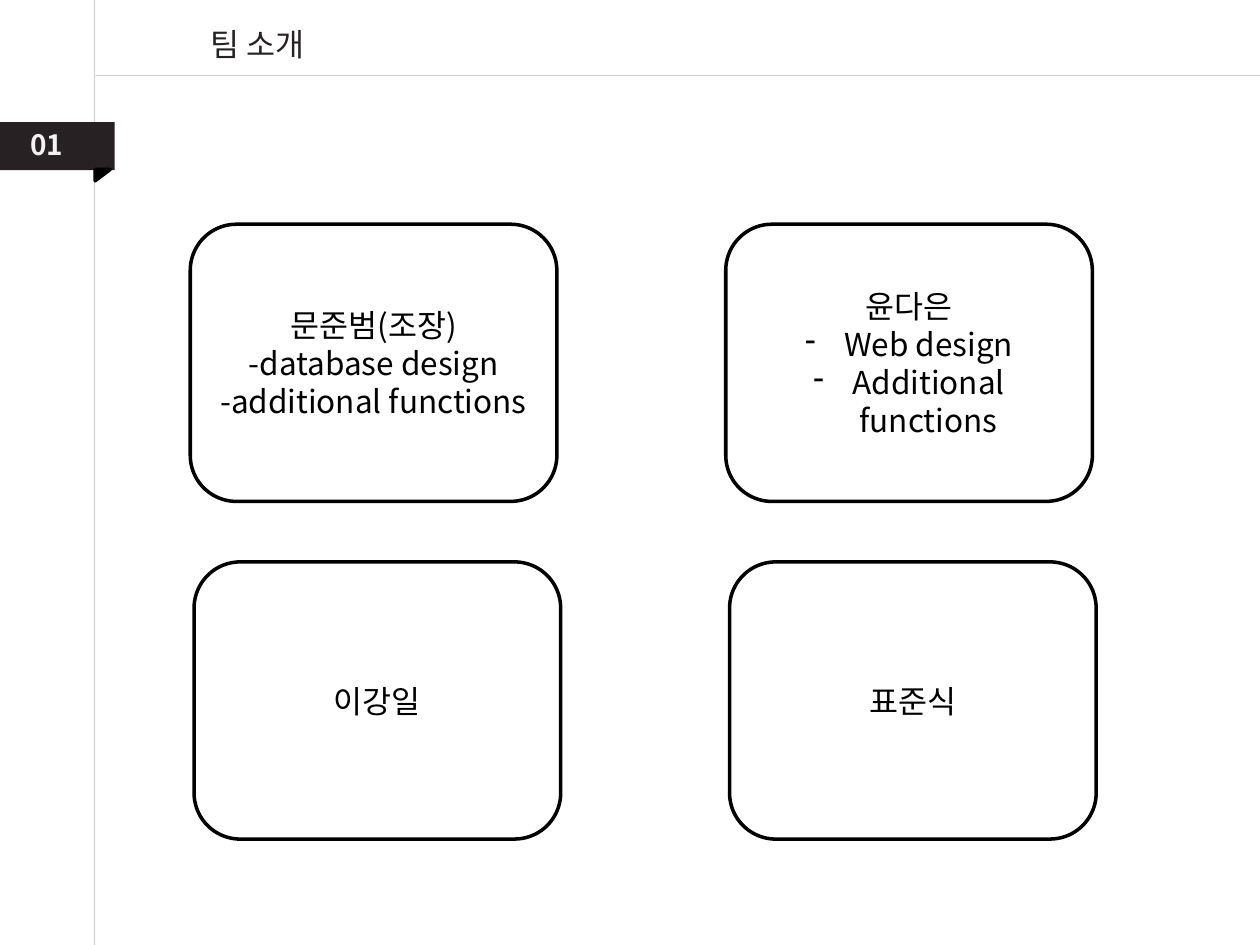
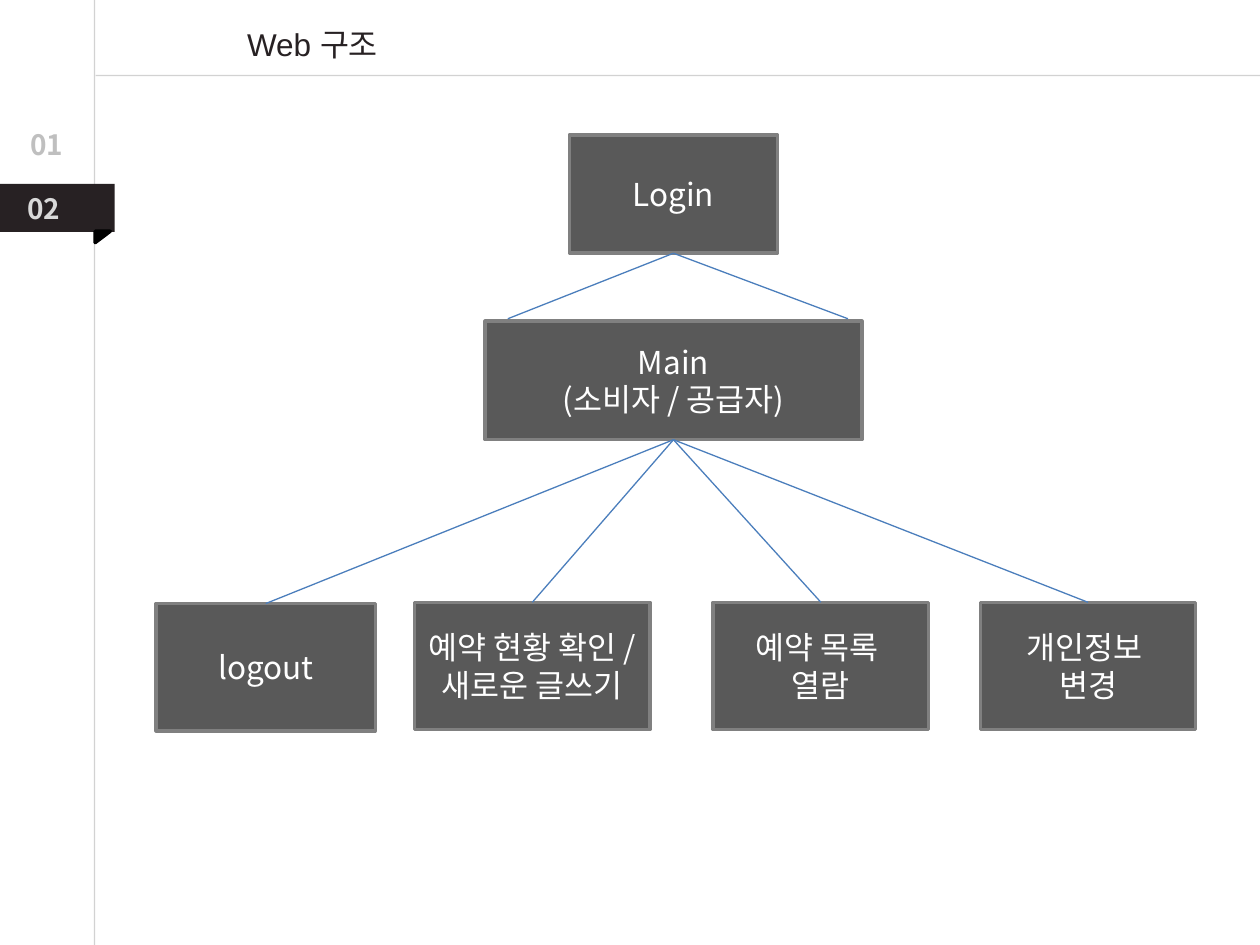
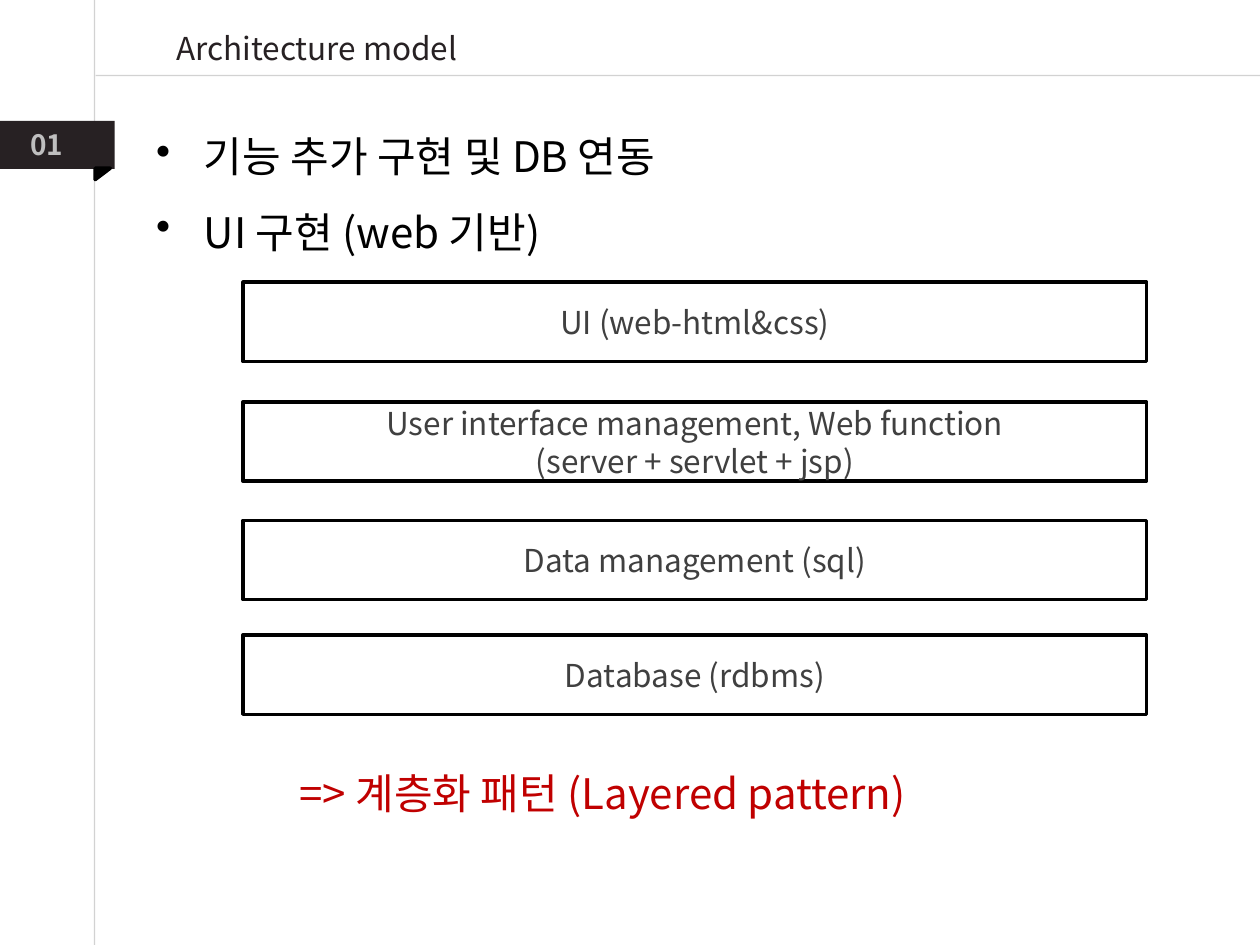
from lxml import etree
from pptx import Presentation, util as u
from pptx.dml.color import RGBColor
from pptx.enum import shapes, text
from pptx.oxml.ns import qn

FACE = "Noto Sans CJK KR"
DARK, BLACK, WHITE = "272123", "000000", "FFFFFF"
RULE, LINK = "A6A6A6", "4B7EBC"
BOX, EDGE, GRAY, RED = "595959", "808080", "404040", "C00000"
FORM = shapes.MSO_SHAPE
MID = text.PP_ALIGN.CENTER


def hue(code):
    return RGBColor.from_string(code)


def child(node, tag, **attrs):
    return etree.SubElement(node, qn(tag), attrs)


def write(frame, lines, size, color, align=None, face=FACE, bold=False,
          mark=None, dent=0.31, lead=None):
    """Write one paragraph per line; mark maps line numbers to bullets."""
    frame.word_wrap = True
    for i, line in enumerate(lines):
        para = frame.paragraphs[0] if i == 0 else frame.add_paragraph()
        para.alignment = align
        para.line_spacing = lead
        if mark and i in mark:
            props = para._p.get_or_add_pPr()
            props.set("marL", str(u.Inches(dent)))
            props.set("indent", str(-u.Inches(dent)))
            child(props, "a:buChar", char=mark[i])
        run = para.add_run()
        run.text = line
        font = run.font
        font.size, font.bold, font.name = u.Pt(size), bold, face
        font.color.rgb = hue(color)
        child(run._r.get_or_add_rPr(), "a:ea", typeface=FACE)


def label(slide, box, lines, size, color, **style):
    area = slide.shapes.add_textbox(*map(u.Inches, box))
    write(area.text_frame, lines, size, color, **style)


def block(slide, form, box, fill=None, edge=None, lines=(), color=BLACK,
          mark=None):
    """Draw a preset shape with centred text."""
    part = slide.shapes.add_shape(form, *map(u.Inches, box))
    part.shadow.inherit = False
    if fill:
        part.fill.solid()
        part.fill.fore_color.rgb = hue(fill)
    else:
        part.fill.background()
    if edge:
        part.line.color.rgb = hue(edge)
        part.line.width = u.Pt(2)
    else:
        part.line.fill.background()
    part.text_frame.vertical_anchor = text.MSO_ANCHOR.MIDDLE
    write(part.text_frame, lines, 18, color, align=MID, mark=mark)
    return part


def link(slide, start, end, color=LINK, alpha=None):
    line = slide.shapes.add_connector(
        shapes.MSO_CONNECTOR.STRAIGHT, *map(u.Inches, (*start, *end)))
    line.line.color.rgb = hue(color)
    line.line.width = u.Pt(0.75)
    props = line._element.spPr
    if alpha:
        tone = props.find(".//" + qn("a:srgbClr"))
        child(tone, "a:alpha", val=str(alpha * 1000))
    child(props, "a:effectLst")
    return line


def join(slide, top, low):
    line = link(slide, (0, 0), (1, 1))
    line.begin_connect(top, 2)
    line.end_connect(low, 0)


# Shared frame: rules, title, chapter tag
def base(deck, title, x, y, width, face=FACE):
    slide = deck.slides.add_slide(deck.slide_layouts[6])
    link(slide, (0.75, 0), (0.75, 7.5), RULE, 50)
    link(slide, (0.76, 0.6), (10, 0.6), RULE, 50)
    label(slide, (x, y, width, 0.4), [title], 18, DARK, align=MID, face=face)
    return slide


def count(slide, num, x, y, color):
    label(slide, (x, y, 0.59, 0.37), [num], 16, color, bold=True)


def tag(slide, y):
    block(slide, FORM.RECTANGLE, (0, y, 0.91, 0.38), DARK)
    fold = block(slide, FORM.RIGHT_TRIANGLE, (0.77, y + 0.36, 0.09, 0.12),
                 BLACK, BLACK)
    fold.rotation = 90


# Team cards, two by two
def team(slide, x, y):
    cards = [
        (["문준범(조장)", "-database design", "-additional functions"], None),
        (["윤다은", "Web design", "Additional functions"], {1: "-", 2: "-"}),
        (["이강일"], None),
        (["표준식"], None),
    ]
    for i, (lines, mark) in enumerate(cards):
        row, col = divmod(i, 2)
        spot = (x + 4.25 * col + 0.03 * row, y + 2.68 * row, 2.91, 2.2)
        block(slide, FORM.ROUNDED_RECTANGLE, spot, None, BLACK, lines,
              mark=mark)


# Page tree
def tree(slide, x, y):
    def node(dx, dy, width, height, *lines):
        return block(slide, FORM.RECTANGLE, (x + dx, y + dy, width, height),
                     BOX, EDGE, lines, WHITE)

    login = node(3.28, 0, 1.65, 0.94, "Login")
    main = node(2.61, 1.48, 2.99, 0.94, "Main", "(소비자 / 공급자)")
    leaves = [
        node(0, 3.72, 1.74, 1.01, "logout"),
        node(2.05, 3.71, 1.87, 1.01, "예약 현황 확인 / 새로운 글쓰기"),
        node(4.42, 3.71, 1.71, 1.01, "예약 목록 ", "열람"),
        node(6.54, 3.71, 1.71, 1.01, "개인정보 ", "변경"),
    ]
    for dx in (2.79, 5.49):
        line = link(slide, (x, y), (x + dx, y + 1.46))
        line.begin_connect(login, 2)
    for leaf in leaves:
        join(slide, main, leaf)


# Layer stack with goals above and the pattern name below
def stack(slide, x, y):
    goals = ["기능 추가 구현 및 DB 연동", "UI 구현 (web 기반)"]
    label(slide, (x, y, 7.95, 1.4), goals, 24, BLACK,
          mark={0: "•", 1: "•"}, dent=0.38, lead=1.5)
    layers = [
        (1.45, ["UI (web-html&css)"]),
        (2.4, ["User interface management, Web function",
               "(server + servlet + jsp)"]),
        (3.34, ["Data management (sql)"]),
        (4.25, ["Database (rdbms)"]),
    ]
    for dy, lines in layers:
        block(slide, FORM.RECTANGLE, (x + 0.79, y + dy, 7.17, 0.63),
              None, BLACK, lines, GRAY)
    label(slide, (x + 1.14, y + 5.05, 6, 0.7),
          ["=> 계층화 패턴 (Layered pattern)"], 24, RED, lead=1.5)


def main():
    deck = Presentation()
    deck.slide_width, deck.slide_height = u.Inches(10), u.Inches(7.5)

    slide = base(deck, "팀 소개", 1.14, 0.15, 1.81)
    tag(slide, 0.97)
    count(slide, "01", 0.14, 0.96, "F2F2F2")
    team(slide, 1.51, 1.78)

    slide = base(deck, "Web 구조", 1.14, 0.15, 2.68, "Arial")
    tag(slide, 1.46)
    count(slide, "02", 0.12, 1.47, "D9D9D9")
    count(slide, "01", 0.14, 0.96, "BFBFBF")
    tree(slide, 1.24, 1.07)

    slide = base(deck, "Architecture model", 0.94, 0.18, 3.15)
    tag(slide, 0.96)
    count(slide, "01", 0.14, 0.96, "BFBFBF")
    stack(slide, 1.14, 0.79)

    deck.save("out.pptx")


if __name__ == "__main__":
    main()
